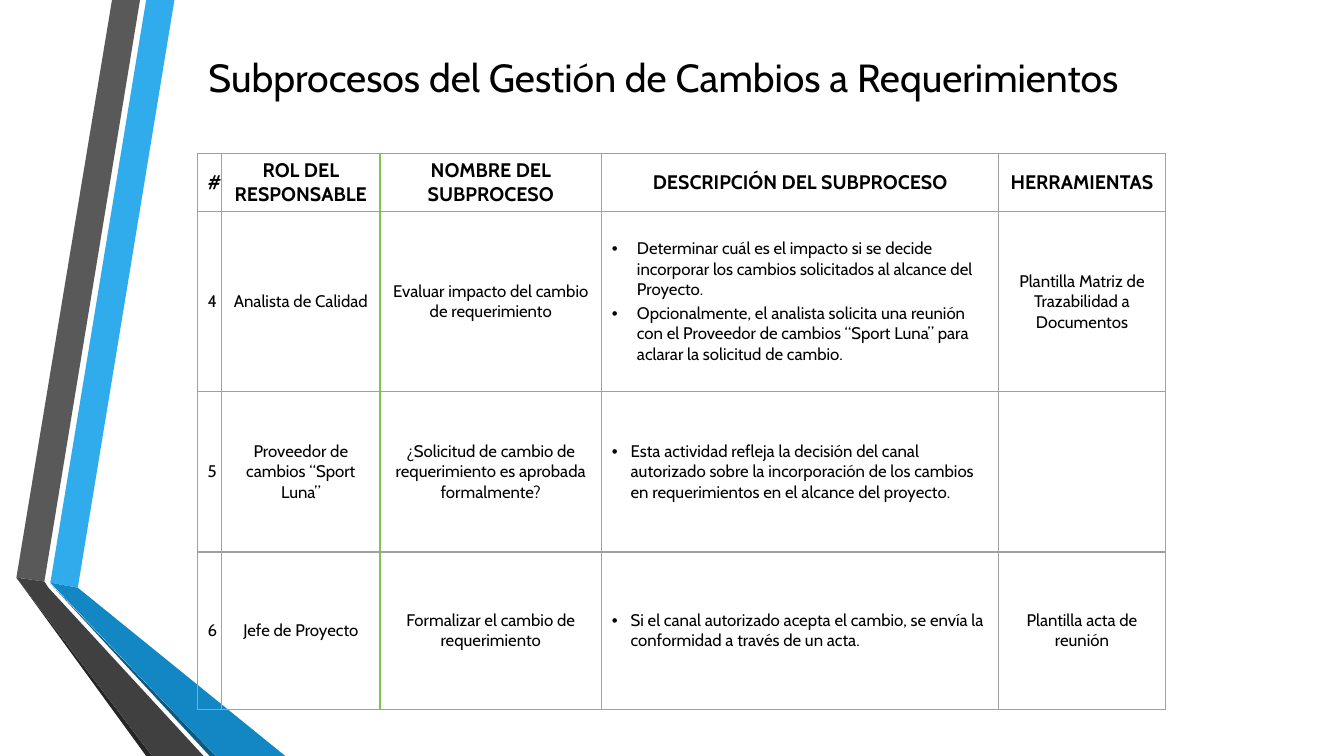
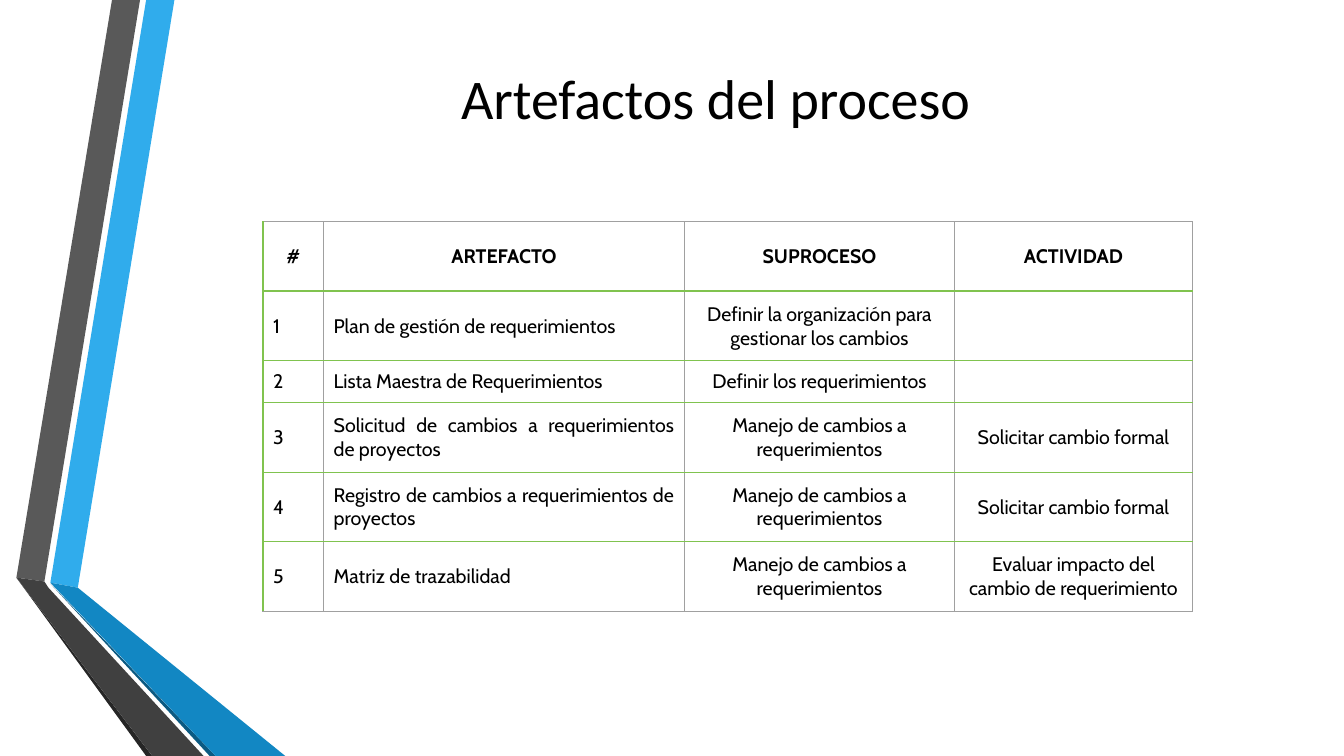
"""Build two process slides with ribbon bands, a title and a ruled table."""
from dataclasses import dataclass

from lxml import etree
from pptx import Presentation
from pptx.dml.color import RGBColor
from pptx.enum.text import MSO_ANCHOR, PP_ALIGN
from pptx.oxml.ns import qn
from pptx.util import Pt

CENTER = PP_ALIGN.CENTER
LEFT = PP_ALIGN.LEFT
JUSTIFY = PP_ALIGN.JUSTIFY
MIDDLE = MSO_ANCHOR.MIDDLE

BLACK = "000000"
GREEN = "80C34F"
GRAY = "A0A0A0"
BODY_FONT = "Cabin"
HEADER_SIZE = 14


@dataclass(frozen=True)
class Band:
    color: str
    points: tuple[tuple[float, float], ...]


@dataclass(frozen=True)
class Title:
    text: str
    frame: tuple[float, float, float, float]
    font: str
    size: float


@dataclass(frozen=True)
class Rule:
    color: str
    width: float = 1


@dataclass(frozen=True)
class Bullets:
    indent: float
    lines: tuple[str, ...]


@dataclass(frozen=True)
class Grid:
    left: float
    top: float
    widths: tuple[float, ...]
    heights: tuple[float, ...]
    alignments: tuple[PP_ALIGN, ...]
    header_gap: float
    body_size: float
    verticals: tuple[Rule, ...]
    horizontals: tuple[Rule, ...]
    rows: tuple[tuple[str | Bullets, ...], ...]


THIN_GREEN = Rule(GREEN)
THICK_GREEN = Rule(GREEN, 1.5)
THIN_GRAY = Rule(GRAY)

BANDS = (
    Band("30ACEC", ((36, 416.2), (55.6, 419.8), (124.6, 0), (104.4, 0))),
    Band("595959", ((100, 0), (80, 0), (11.7, 412.6), (31.7, 415.4))),
    Band("262626", ((11.7, 412.6), (104.4, 540), (108.7, 540))),
    Band("0C5A82", ((36, 416.9), (149.8, 540), (154.1, 540))),
    Band("1287C3", ((36, 416.2), (154.1, 540), (203.8, 540), (55.6, 419.8))),
    Band("404040", ((145.4, 540), (34.6, 419.8), (31.7, 415.4),
                    (11.7, 412.6), (108.7, 540))),
)

SUBPROCESS_TITLE = Title("Subprocesos del Gestión de Cambios a Requerimientos",
                         (79.2, 0.7, 789.1, 108.7), BODY_FONT, 28)
SUBPROCESS_GRID = Grid(
    left=141.1, top=109.4,
    widths=(17.3, 113, 158.4, 283.7, 118.8),
    heights=(41.5, 128.9, 114.5, 112.3),
    alignments=(CENTER, CENTER, CENTER, LEFT, CENTER),
    header_gap=0, body_size=12,
    verticals=(THIN_GRAY, THIN_GREEN, THIN_GREEN, THIN_GREEN, THIN_GRAY, THIN_GREEN),
    horizontals=(THIN_GRAY,) * 5,
    rows=(
        ("#", "ROL DEL RESPONSABLE", "NOMBRE DEL SUBPROCESO",
         "DESCRIPCIÓN DEL SUBPROCESO", "HERRAMIENTAS"),
        ("4", "Analista de Calidad", "Evaluar impacto del cambio de requerimiento",
         Bullets(18, (
             "Determinar cuál es el impacto si se decide incorporar los cambios "
             "solicitados al alcance del Proyecto.",
             "Opcionalmente, el analista solicita una reunión con el Proveedor de "
             "cambios “Sport Luna” para aclarar la solicitud de cambio.")),
         "Plantilla Matriz de Trazabilidad a Documentos"),
        ("5", "Proveedor de cambios “Sport Luna”",
         "¿Solicitud de cambio de requerimiento es aprobada formalmente?",
         Bullets(13.5, (
             "Esta actividad refleja la decisión del canal autorizado sobre la "
             "incorporación de los cambios en requerimientos en el alcance del "
             "proyecto.",)),
         ""),
        ("6", "Jefe de Proyecto", "Formalizar el cambio de requerimiento",
         Bullets(13.5, (
             "Si el canal autorizado acepta el cambio, se envía la conformidad a "
             "través de un acta.",)),
         "Plantilla acta de reunión"),
    ),
)

CHANGE_HANDLING = "Manejo de cambios a requerimientos"
CHANGE_REQUEST = "Solicitar cambio formal"
ARTIFACT_TITLE = Title("Artefactos del proceso",
                       (116.6, 0, 789.1, 138.2), "Calibri", 40)
ARTIFACT_GRID = Grid(
    left=187.9, top=158.4,
    widths=(43.2, 257.8, 193, 169.9),
    heights=(49.7, 49.7, 29.8, 49.7, 49.7, 49.7),
    alignments=(JUSTIFY, JUSTIFY, CENTER, CENTER),
    header_gap=0.2, body_size=14,
    verticals=(THICK_GREEN,) + (THIN_GRAY,) * 4,
    horizontals=(THIN_GRAY, THICK_GREEN) + (THIN_GREEN,) * 4 + (THIN_GRAY,),
    rows=(
        ("#", "ARTEFACTO", "SUPROCESO", "ACTIVIDAD"),
        ("1", "Plan de gestión de requerimientos",
         "Definir la organización para gestionar los cambios", ""),
        ("2", "Lista Maestra de Requerimientos", "Definir los requerimientos", ""),
        ("3", "Solicitud de cambios a requerimientos de proyectos",
         CHANGE_HANDLING, CHANGE_REQUEST),
        ("4", "Registro de cambios a requerimientos de proyectos",
         CHANGE_HANDLING, CHANGE_REQUEST),
        ("5", "Matriz de trazabilidad", CHANGE_HANDLING,
         "Evaluar impacto del cambio de requerimiento"),
    ),
)


def rgb(color: str) -> RGBColor:
    return RGBColor.from_string(color)


def apply_format(target, values: dict) -> None:
    for name, value in values.items():
        setattr(target, name, value)


def write_paragraph(para, text: str, font: str, size: float, bold: bool,
                    alignment: PP_ALIGN, gap: float = 0) -> None:
    apply_format(para, {"alignment": alignment, "space_before": Pt(size * gap)})
    span = para.add_run()
    span.text = text
    apply_format(span.font, {"name": font, "size": Pt(size), "bold": bold})
    span.font.color.rgb = rgb(BLACK)


def add_bullet(para, indent: float) -> None:
    properties = para._p.get_or_add_pPr()
    properties.set("marL", str(Pt(indent)))
    properties.set("indent", str(-Pt(indent)))
    etree.SubElement(properties, qn("a:buFont"), typeface="Arial")
    etree.SubElement(properties, qn("a:buChar"), char="•")


def rule_cell(cell, rules: dict[str, Rule]) -> None:
    properties = cell._tc.get_or_add_tcPr()
    for position, (tag, rule) in enumerate(rules.items()):
        line = etree.Element(qn(tag), w=str(Pt(rule.width)))
        fill = etree.SubElement(line, qn("a:solidFill"))
        etree.SubElement(fill, qn("a:srgbClr"), val=rule.color)
        properties.insert(position, line)


def draw_band(page, band: Band) -> None:
    start, *others = [(Pt(x), Pt(y)) for x, y in band.points]
    builder = page.shapes.build_freeform(*start)
    builder.add_line_segments(others, close=True)
    shape = builder.convert_to_shape()
    shape.shadow.inherit = False
    shape.fill.solid()
    shape.fill.fore_color.rgb = rgb(band.color)
    shape.line.fill.background()


def draw_title(page, title: Title) -> None:
    box = page.shapes.add_textbox(*map(Pt, title.frame))
    apply_format(box.text_frame, {"word_wrap": True, "vertical_anchor": MIDDLE})
    write_paragraph(box.text_frame.paragraphs[0], title.text, title.font,
                    title.size, False, CENTER)


def fill_cell(cell, content: str | Bullets, grid: Grid, row: int, column: int) -> None:
    header = row == 0
    lines = content.lines if isinstance(content, Bullets) else (content,)
    for index, text in enumerate(lines):
        frame = cell.text_frame
        para = frame.add_paragraph() if index else frame.paragraphs[0]
        write_paragraph(para, text, BODY_FONT,
                        HEADER_SIZE if header else grid.body_size, header,
                        CENTER if header else grid.alignments[column],
                        grid.header_gap if header else 0.2)
        if isinstance(content, Bullets):
            add_bullet(para, content.indent)


def draw_grid(page, grid: Grid) -> None:
    table = page.shapes.add_table(
        len(grid.heights), len(grid.widths), Pt(grid.left), Pt(grid.top),
        Pt(sum(grid.widths)), Pt(sum(grid.heights))).table
    apply_format(table, {"first_row": False, "horz_banding": False})
    for column, width in zip(table.columns, grid.widths):
        column.width = Pt(width)
    for row, height in zip(table.rows, grid.heights):
        row.height = Pt(height)
    for row, contents in enumerate(grid.rows):
        for column, content in enumerate(contents):
            cell = table.cell(row, column)
            cell.vertical_anchor = MIDDLE
            cell.fill.background()
            fill_cell(cell, content, grid, row, column)
            rule_cell(cell, {"a:lnL": grid.verticals[column],
                             "a:lnR": grid.verticals[column + 1],
                             "a:lnT": grid.horizontals[row],
                             "a:lnB": grid.horizontals[row + 1]})


def main() -> None:
    deck = Presentation()
    apply_format(deck, {"slide_width": Pt(960), "slide_height": Pt(540)})
    for title, grid in ((SUBPROCESS_TITLE, SUBPROCESS_GRID),
                        (ARTIFACT_TITLE, ARTIFACT_GRID)):
        page = deck.slides.add_slide(deck.slide_layouts[6])
        for band in BANDS:
            draw_band(page, band)
        draw_title(page, title)
        draw_grid(page, grid)
    deck.save("out.pptx")


main()
